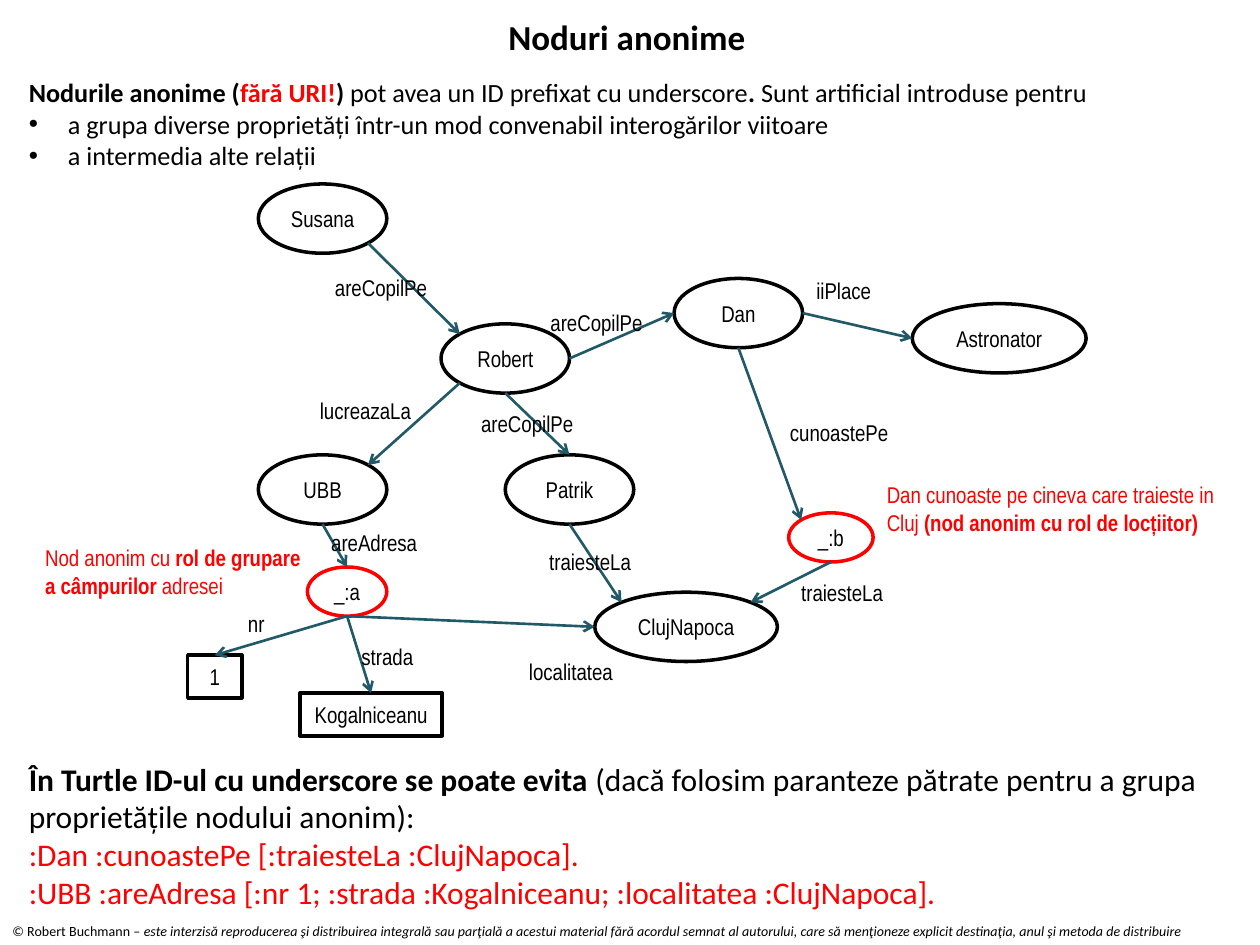
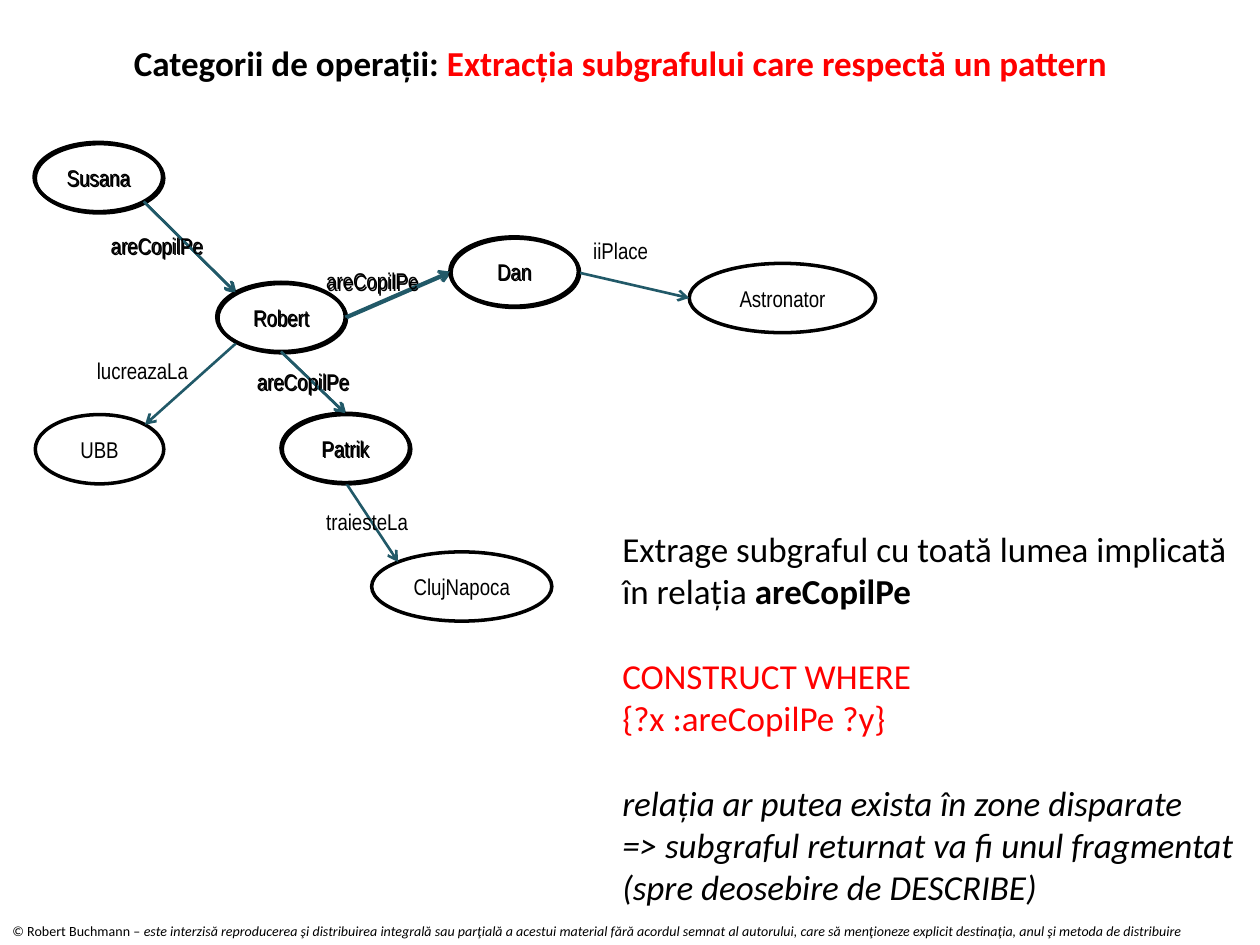
from lxml import etree
from pptx import Presentation
from pptx.dml.color import RGBColor
from pptx.enum.shapes import MSO_CONNECTOR, MSO_SHAPE
from pptx.enum.text import MSO_ANCHOR, MSO_AUTO_SIZE, PP_ALIGN
from pptx.oxml.ns import qn
from pptx.util import Inches, Pt

OVAL, RECT = MSO_SHAPE.OVAL, MSO_SHAPE.RECTANGLE
LINE = MSO_CONNECTOR.STRAIGHT
LEFT, MID = PP_ALIGN.LEFT, PP_ALIGN.CENTER
GROW, CENTER = MSO_AUTO_SIZE.SHAPE_TO_FIT_TEXT, MSO_ANCHOR.MIDDLE

HEX = {"ink": "000000", "red": "FF0000", "edge": "215968"}
BODY, NARROW = "Calibri", "Arial Narrow"
FOOT = [("© Robert Buchmann – ", ""),
        ("este interzisă reproducerea şi distribuirea integrală sau parţială a acestui "
         "material fără acordul semnat al autorului, care să menţioneze explicit "
         "destinaţia, anul şi metoda de distribuire", "i")]

# Points on an oval, as shares of its half width and half height
DIAG = 0.707
SIDES = {"N": (0, -1), "S": (0, 1), "W": (-1, 0), "E": (1, 0),
         "NW": (-DIAG, -DIAG), "NE": (DIAG, -DIAG),
         "SW": (-DIAG, DIAG), "SE": (DIAG, DIAG)}

# Graph nodes: left, top, width, height, outline, shape
NODES = {
    "Robert": (3.5, 2.57, 1.02, 0.55, "ink", OVAL),
    "UBB": (2.05, 3.61, 1.02, 0.55, "ink", OVAL),
    "Dan": (5.35, 2.21, 1.02, 0.55, "ink", OVAL),
    "Astronator": (7.24, 2.41, 1.38, 0.55, "ink", OVAL),
    "Susana": (2.05, 1.46, 1.02, 0.55, "ink", OVAL),
    "ClujNapoca": (4.72, 4.7, 1.45, 0.55, "ink", OVAL),
    "Patrik": (4.01, 3.61, 1.02, 0.55, "ink", OVAL),
    "_:b": (6.26, 4.07, 0.67, 0.39, "red", OVAL),
    "_:a": (2.44, 4.5, 0.63, 0.39, "red", OVAL),
    "1": (1.49, 5.2, 0.43, 0.34, "ink", RECT),
    "Kogalniceanu": (2.38, 5.5, 1.13, 0.34, "ink", RECT),
}

# Graph edges: start, side, end, side, label, label left, top, width
EDGES = [
    ("Susana", "SE", "Robert", "NW", "areCopilPe", 2.56, 2.12, 1.21),
    ("Robert", "E", "Dan", "W", "areCopilPe", 4.27, 2.4, 1.21),
    ("Dan", "E", "Astronator", "W", "iiPlace", 6.38, 2.15, 1.38),
    ("Robert", "S", "Patrik", "N", "areCopilPe", 3.72, 3.2, 1.21),
    ("Robert", "SW", "UBB", "NE", "lucreazaLa", 2.44, 3.1, 1.21),
    ("Patrik", "S", "ClujNapoca", "NW", "traiesteLa", 4.26, 4.3, 1.21),
    ("Dan", "S", "_:b", "NW", "cunoastePe", 6.17, 3.27, 1.15),
    ("_:b", "S", "ClujNapoca", "NE", "traiesteLa", 6.26, 4.54, 1.15),
    ("UBB", "S", "_:a", "N", "areAdresa", 2.53, 4.15, 1.21),
    ("_:a", "S", "1", "N", "nr", 1.87, 4.79, 0.43),
    ("_:a", "S", "Kogalniceanu", "N", "strada", 2.77, 5.05, 0.65),
    ("_:a", "S", "ClujNapoca", "W", "localitatea", 4.1, 5.17, 0.9),
]
FAMILY = ["Robert", "Dan", "Susana", "Patrik"]
PEOPLE = list(NODES)[:7]


class Deck:
    def __init__(self):
        self.prs = Presentation()
        self.prs.slide_width, self.prs.slide_height = Inches(10), Inches(7.5)
        self.shapes = None

    def page(self, title, left, top):
        slide = self.prs.slides.add_slide(self.prs.slide_layouts[6])
        self.shapes = slide.shapes
        self.text(0, 7.27, 10.01, 0.24, [FOOT], 8)
        self.text(left, top, 9.29, 0.44, [title], 20, align=MID)

    def group(self):
        self.shapes = self.shapes.add_group_shape().shapes

    def runs(self, para, parts, size, font):
        """Each part is a text and its marks: b bold, i italic, r red."""
        for words, marks in parts:
            run = para.add_run()
            run.text = words
            face = run.font
            face.name, face.size = font, Pt(size)
            face.bold, face.italic = "b" in marks, "i" in marks
            face.color.rgb = RGBColor.from_string(HEX["red" if "r" in marks else "ink"])

    def text(self, x, y, w, h, paras, size, font=BODY, align=LEFT, dots=(), gaps=()):
        box = self.shapes.add_textbox(Inches(x), Inches(y), Inches(w), Inches(h))
        frame = box.text_frame
        frame.word_wrap, frame.auto_size = True, GROW
        for n, parts in enumerate(paras):
            para = frame.paragraphs[0] if n == 0 else frame.add_paragraph()
            para.alignment = align
            if n in dots:
                self.dot(para)
            if n in gaps:
                para.space_before = Pt(size * 1.22)
            self.runs(para, parts, size, font)

    def dot(self, para):
        props = para._p.get_or_add_pPr()
        props.set("marL", str(Inches(0.31)))
        props.set("indent", str(-Inches(0.31)))
        etree.SubElement(props, qn("a:buFont")).set("typeface", "Arial")
        etree.SubElement(props, qn("a:buChar")).set("char", "•")

    def node(self, name, x, y, w, h, color, kind):
        shape = self.shapes.add_shape(kind, Inches(x), Inches(y), Inches(w), Inches(h))
        shape.shadow.inherit = False
        shape.fill.background()
        shape.line.color.rgb = RGBColor.from_string(HEX[color])
        shape.line.width = Pt(2)
        frame = shape.text_frame
        frame.word_wrap, frame.vertical_anchor = True, CENTER
        para = frame.paragraphs[0]
        para.alignment = MID
        self.runs(para, [(name, "")], 13, NARROW)
        return shape

    def arrow(self, start, end):
        line = self.shapes.add_connector(LINE, *map(Inches, start + end))
        line.line.color.rgb = RGBColor.from_string(HEX["edge"])
        line.line.width = Pt(1.5)
        etree.SubElement(line.line._get_or_add_ln(), qn("a:tailEnd")).set("type", "arrow")
        etree.SubElement(line._element.spPr, qn("a:effectLst"))
        return line

    def graph(self, names, dx=0, dy=0, widths=None):
        """Draw the named nodes, moved by dx and dy, and all edges among them."""
        boxes, made = {}, {}
        for name in names:
            x, y, w, h, color, kind = NODES[name]
            w = (widths or {}).get(name, w)
            boxes[name] = x + dx, y + dy, w, h
            made[name] = self.node(name, *boxes[name], color, kind)

        def spot(name, side):
            x, y, w, h = boxes[name]
            u, v = SIDES[side]
            return x + w / 2 * (1 + u), y + h / 2 * (1 + v)

        edges = [e for e in EDGES if e[0] in boxes and e[2] in boxes]
        for a, out, b, into, *_ in edges:
            line = self.arrow(spot(a, out), spot(b, into))
            if NODES[b][5] == RECT:
                line.end_connect(made[b], 0)
        for *_, label, x, y, w in edges:
            self.text(x + dx, y + dy, w, 0.32, [[(label, "")]], 13, NARROW)


def main():
    deck = Deck()

    # Slide 1: anonymous nodes
    deck.page([("Noduri anonime", "b")], 0.33, 0.07)
    deck.graph(NODES)
    deck.text(0.13, 0.56, 9.88, 0.86, [
        [("Nodurile anonime (", "b"), ("fără URI!", "br"), (") ", "b"),
         ("pot avea un ID prefixat cu underscore", ""), (". ", "b"),
         ("Sunt artificial introduse pentru", "")],
        [("a grupa diverse proprietăți într-un mod convenabil interogărilor viitoare", "")],
        [("a intermedia alte relații", "")],
    ], 15, dots=(1, 2))
    deck.text(0.13, 5.98, 9.68, 1.62, [
        [("În Turtle ID-ul cu underscore se poate evita", "b"),
         (" (dacă folosim paranteze pătrate pentru a grupa proprietățile nodului anonim):", "")],
        [(":Dan :cunoastePe [:traiesteLa :ClujNapoca].", "r")],
        [(":UBB :areAdresa [:nr 1; :strada :Kogalniceanu; :localitatea :ClujNapoca].", "r")],
    ], 18)
    deck.text(6.94, 3.77, 3.07, 0.54, [
        [("Dan cunoaste pe cineva care traieste in Cluj ", "r"),
         ("(nod anonim cu rol de locțiitor)", "br")]], 13, NARROW)
    deck.text(0.26, 4.27, 2.34, 0.54, [
        [("Nod anonim cu ", "r"), ("rol de grupare a câmpurilor", "br"),
         (" adresei", "r")]], 13, NARROW)

    # Slide 2: subgraph that fits a pattern
    deck.page([("Categorii de operații: ", "b"),
               ("Extracția subgrafului care respectă un pattern", "br")], 0.28, 0.28)
    deck.graph(PEOPLE, -1.77, -0.32, {"Astronator": 1.48, "ClujNapoca": 1.43})
    deck.text(4.84, 4.14, 5.21, 3.47, [
        [("Extrage subgraful cu toată lumea implicată în relația ", ""), ("areCopilPe", "b")],
        [("CONSTRUCT WHERE", "r")],
        [("{?x :areCopilPe ?y}", "r")],
        [("relația ar putea exista în zone disparate", "i")],
        [("=> subgraful returnat va fi unul fragmentat (spre deosebire de DESCRIBE)", "i")],
    ], 20, gaps=(1, 3))

    # Matched part, laid over the graph to stand out
    deck.group()
    deck.graph(FAMILY, -1.78, -0.33)

    deck.prs.save("out.pptx")


if __name__ == "__main__":
    main()
